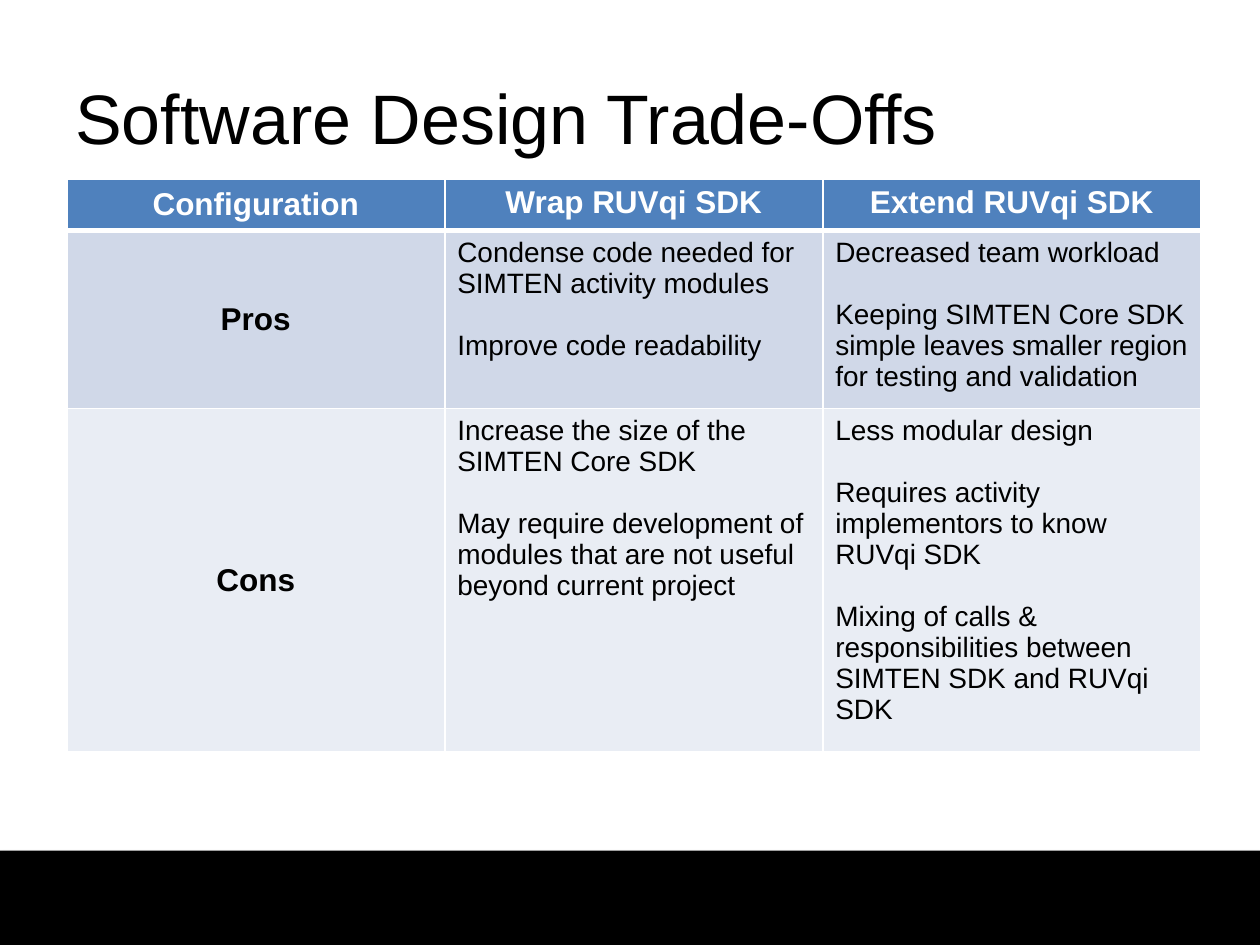
from lxml import etree
from pptx import Presentation
from pptx.dml.color import RGBColor
from pptx.enum import shapes, text
from pptx.oxml import parse_xml
from pptx.oxml.ns import nsdecls, qn
from pptx.util import Inches, Pt

FONT = "Arial"
BLACK, WHITE = "000000", "FFFFFF"
ROW_FILLS = ["4F81BD", "D0D8E8", "E9EDF4"]
ROW_HEIGHTS = [0.41, 1.33, 2.57]
COLUMN_WIDTH = 3
BLANK_LINE = 17.7  # points between the items of one cell

ROWS = [
    [["Configuration"], ["Wrap RUVqi SDK"], ["Extend RUVqi SDK"]],
    [["Pros"],
     ["Condense code needed for SIMTEN activity modules",
      "Improve code readability"],
     ["Decreased team workload",
      "Keeping SIMTEN Core SDK simple leaves smaller region "
      "for testing and validation"]],
    [["Cons"],
     ["Increase the size of the SIMTEN Core SDK",
      "May require development of modules that are not useful "
      "beyond current project"],
     ["Less modular design",
      "Requires activity implementors to know RUVqi SDK",
      "Mixing of calls & responsibilities between SIMTEN SDK and RUVqi SDK"]],
]


def color(value):
    return RGBColor.from_string(value)


def add_span(para, words, size, ink, bold=False):
    span = para.add_run()
    span.text = words
    span.font.name = FONT
    span.font.size = Pt(size)
    span.font.bold = bold
    span.font.color.rgb = color(ink)


def add_footer_band(page):
    band = page.shapes.add_shape(shapes.MSO_SHAPE.RECTANGLE, Inches(0),
                                 Inches(6.75), Inches(10), Inches(0.75))
    band.fill.solid()
    band.fill.fore_color.rgb = color(BLACK)
    band.line.fill.background()
    # Soft shadow below the band
    band._element.spPr.append(parse_xml(
        f'<a:effectLst {nsdecls("a")}>'
        f'<a:outerShdw blurRad="{Pt(3.1)}" dist="{Pt(1.8)}" dir="5400000" rotWithShape="0">'
        f'<a:srgbClr val="{BLACK}"><a:alpha val="35000"/></a:srgbClr>'
        '</a:outerShdw></a:effectLst>'))


def add_title(page, words):
    box = page.shapes.add_textbox(Inches(0.5), Inches(0.3), Inches(9), Inches(1.25))
    frame = box.text_frame
    frame.word_wrap = True
    frame.vertical_anchor = text.MSO_ANCHOR.MIDDLE
    add_span(frame.paragraphs[0], words, 40, BLACK)


def set_borders(cell, bottom_width):
    properties = cell._tc.get_or_add_tcPr()
    widths = {"a:lnL": 1, "a:lnR": 1, "a:lnT": 1, "a:lnB": bottom_width}
    for position, (tag, width) in enumerate(widths.items()):
        line = etree.Element(qn(tag), w=str(Pt(width)))
        fill = etree.SubElement(line, qn("a:solidFill"))
        etree.SubElement(fill, qn("a:srgbClr"), val=WHITE)
        properties.insert(position, line)


def fill_cell(cell, items, row, column):
    heading = row == 0 or column == 0
    cell.fill.solid()
    cell.fill.fore_color.rgb = color(ROW_FILLS[row])
    set_borders(cell, 3 if row == 0 else 1)
    if column == 0:
        cell.vertical_anchor = text.MSO_ANCHOR.MIDDLE
    for number, item in enumerate(items):
        frame = cell.text_frame
        para = frame.add_paragraph() if number else frame.paragraphs[0]
        if number:
            para.space_before = Pt(BLANK_LINE)
        if heading:
            para.alignment = text.PP_ALIGN.CENTER
        add_span(para, item, 18 if heading else 16,
                 WHITE if row == 0 else BLACK, heading)


def add_trade_off_table(page):
    columns = len(ROWS[0])
    table = page.shapes.add_table(
        len(ROWS), columns, Inches(0.53), Inches(1.42),
        Inches(COLUMN_WIDTH * columns), Inches(sum(ROW_HEIGHTS))).table
    for column in table.columns:
        column.width = Inches(COLUMN_WIDTH)
    for row, cells in enumerate(ROWS):
        table.rows[row].height = Inches(ROW_HEIGHTS[row])
        for column, items in enumerate(cells):
            fill_cell(table.cell(row, column), items, row, column)


def main():
    deck = Presentation()
    deck.slide_width, deck.slide_height = Inches(10), Inches(7.5)
    page = deck.slides.add_slide(deck.slide_layouts[6])
    add_footer_band(page)
    add_title(page, "Software Design Trade-Offs")
    add_trade_off_table(page)
    deck.save("out.pptx")


if __name__ == "__main__":
    main()
